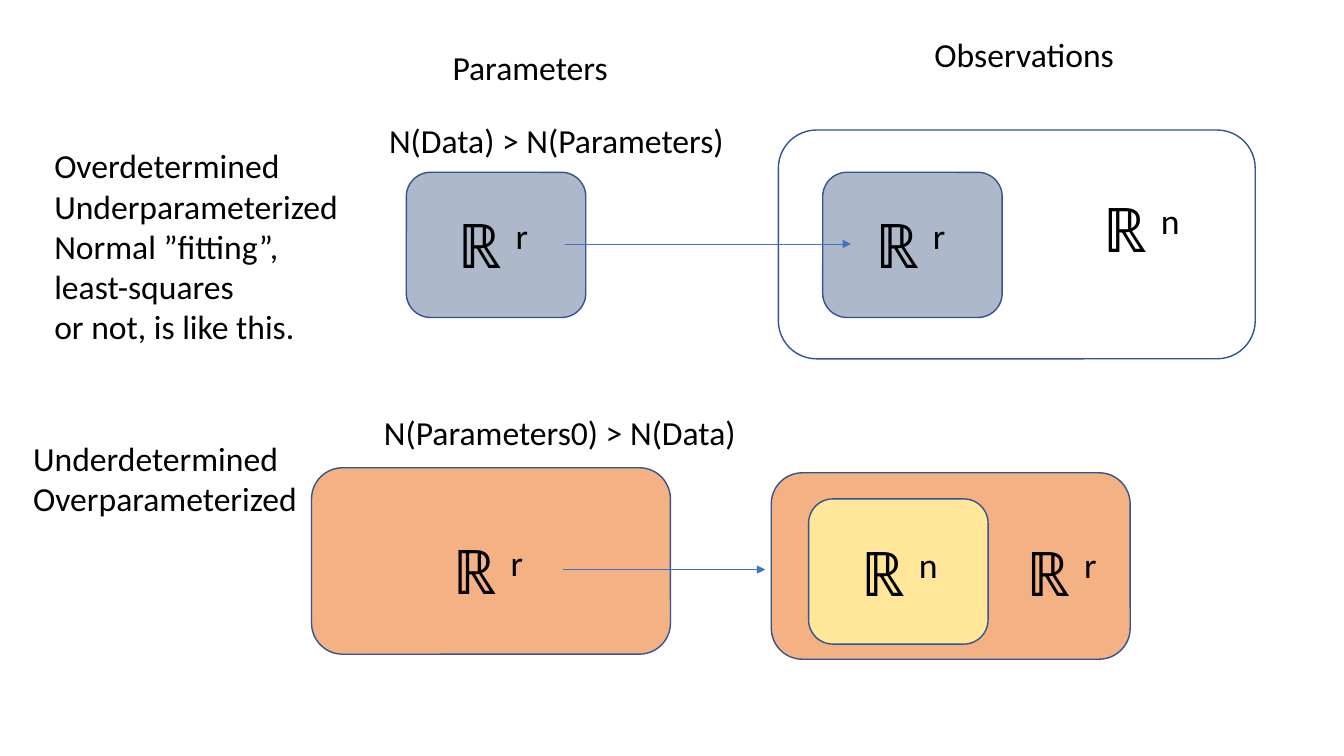
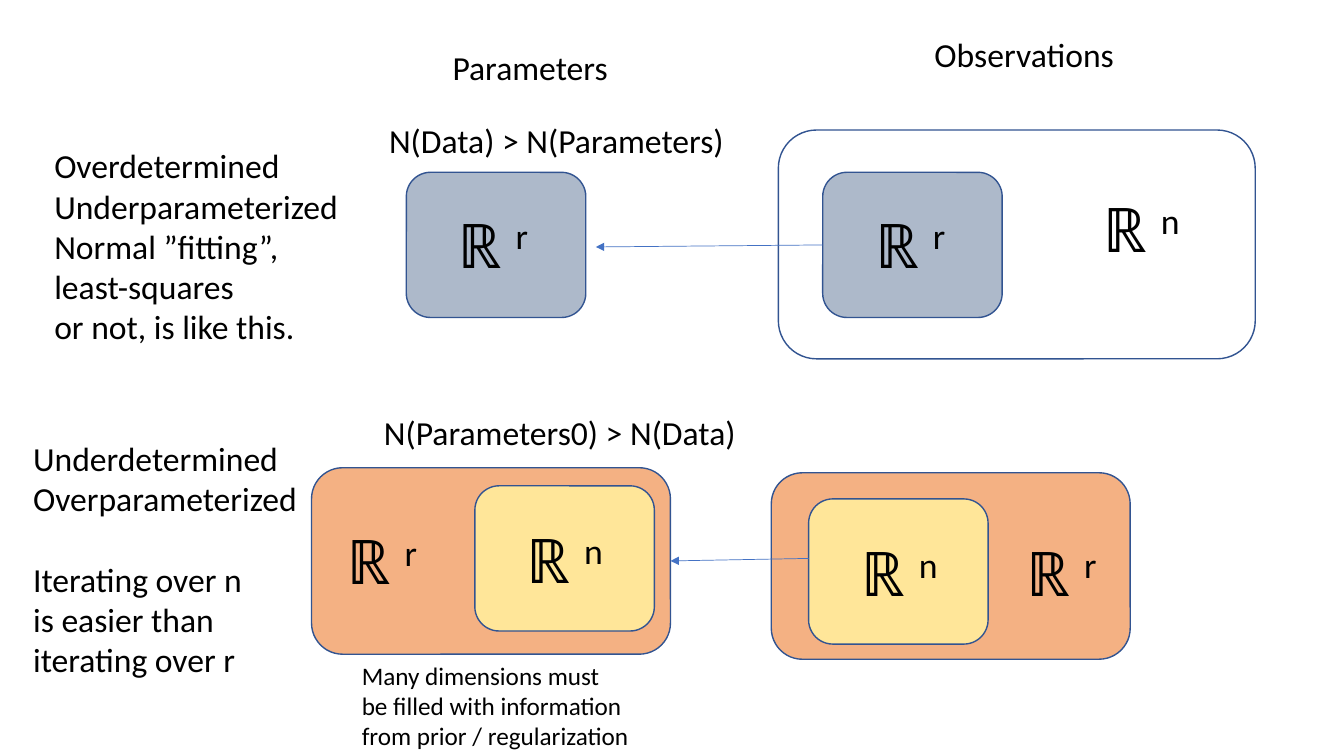
from lxml import etree
from pptx import Presentation
from pptx.dml.color import RGBColor
from pptx.enum.shapes import MSO_CONNECTOR, MSO_SHAPE
from pptx.enum.text import MSO_ANCHOR, MSO_AUTO_SIZE, PP_ALIGN
from pptx.oxml.ns import qn
from pptx.util import Inches, Pt

ROUNDED = MSO_SHAPE.ROUNDED_RECTANGLE
STRAIGHT = MSO_CONNECTOR.STRAIGHT
GROW = MSO_AUTO_SIZE.SHAPE_TO_FIT_TEXT
MIDDLE = MSO_ANCHOR.MIDDLE
LEFT, CENTER = PP_ALIGN.LEFT, PP_ALIGN.CENTER
LEFT_SIDE, RIGHT_SIDE = 1, 3

BLACK = RGBColor(0x00, 0x00, 0x00)
OUTLINE = RGBColor(0x32, 0x54, 0x91)
ARROW = RGBColor(0x44, 0x72, 0xC4)
BLUE_GREY = RGBColor(0xAD, 0xB9, 0xCA)
ORANGE = RGBColor(0xF4, 0xB1, 0x83)
YELLOW = RGBColor(0xFF, 0xE6, 0x99)

FONT = "Calibri"
SMALL_SPACE = (1.78, 1.44)
LARGE_SPACE = (3.56, 1.85)
OBSERVATION_SPACE = (4.73, 2.27)
SYMBOL_WIDTHS = {"r": 0.95, "n": 1.02}
UNDERDETERMINED = ["Underdetermined", "Overparameterized"]


def style_paragraph(paragraph, size, alignment=LEFT):
    paragraph.alignment = alignment
    paragraph.font.name = FONT
    paragraph.font.size = Pt(size)
    paragraph.font.color.rgb = BLACK


def write_symbol(paragraph, exponent, alignment=LEFT):
    """Write ℝ with a raised exponent."""
    paragraph.add_run().text = "ℝ "
    raised = paragraph.add_run()
    raised.text = exponent
    raised._r.get_or_add_rPr().set("baseline", "30000")
    style_paragraph(paragraph, 44, alignment)


def add_text_box(slide, left, top, width, height, wrap=False):
    box = slide.shapes.add_textbox(Inches(left), Inches(top), Inches(width), Inches(height))
    box.text_frame.word_wrap = wrap
    box.text_frame.auto_size = GROW
    return box.text_frame


def add_label(slide, left, top, width, height, lines, size=24, wrap=False):
    frame = add_text_box(slide, left, top, width, height, wrap)
    frame.text = "\n".join(lines)
    for paragraph in frame.paragraphs:
        style_paragraph(paragraph, size)
    return frame


def add_symbol(slide, left, top, exponent):
    frame = add_text_box(slide, left, top, SYMBOL_WIDTHS[exponent], 1.14)
    write_symbol(frame.paragraphs[0], exponent)


def add_space(slide, left, top, size, fill=None):
    """Draw a vector space as a rounded box, unfilled by default."""
    width, height = size
    shape = slide.shapes.add_shape(
        ROUNDED, Inches(left), Inches(top), Inches(width), Inches(height))
    shape.shadow.inherit = False
    if fill is None:
        shape.fill.background()
    else:
        shape.fill.solid()
        shape.fill.fore_color.rgb = fill
    shape.line.color.rgb = OUTLINE
    shape.line.width = Pt(1)
    return shape


def add_arrow(slide, start, end):
    arrow = slide.shapes.add_connector(STRAIGHT, *map(Inches, start + end))
    arrow.line.color.rgb = ARROW
    arrow.line.width = Pt(0.5)
    etree.SubElement(arrow.line._get_or_add_ln(), qn("a:tailEnd"), type="triangle")
    etree.SubElement(arrow._element.spPr, qn("a:effectLst"))
    return arrow


def add_mapping_slide(presentation):
    """Add a slide with the shared diagram; return it and the spaces that arrows join."""
    slide = presentation.slides.add_slide(presentation.slide_layouts[6])
    add_label(slide, 4.39, 0.42, 1.76, 0.5, ["Parameters"])
    add_label(slide, 9.17, 0.29, 2, 0.5, ["Observations"])

    add_label(slide, 3.76, 1.14, 3.55, 0.5, ["N(Data) > N(Parameters)"])
    add_label(slide, 0.44, 1.39, 3.04, 2.12, [
        "Overdetermined", "Underparameterized", "Normal ”fitting”,",
        "least-squares", "or not, is like this."])
    add_space(slide, 7.72, 1.29, OBSERVATION_SPACE)
    add_space(slide, 4.03, 1.71, SMALL_SPACE, BLUE_GREY)
    model_image = add_space(slide, 8.16, 1.71, SMALL_SPACE, BLUE_GREY)
    add_symbol(slide, 4.44, 2, "r")
    add_symbol(slide, 8.58, 2, "r")
    add_symbol(slide, 10.84, 1.85, "n")

    add_label(slide, 3.71, 4.04, 3.72, 0.5, ["N(Parameters0) > N(Data)"])
    parameter_space = add_space(slide, 3.09, 4.64, LARGE_SPACE, ORANGE)
    add_space(slide, 7.65, 4.69, LARGE_SPACE, ORANGE)
    add_space(slide, 8.02, 4.95, SMALL_SPACE, YELLOW)
    add_symbol(slide, 8.44, 5.26, "n")
    add_symbol(slide, 10.08, 5.26, "r")
    return slide, model_image, parameter_space


def add_forward_slide(presentation):
    slide, _, _ = add_mapping_slide(presentation)
    add_label(slide, 0.23, 4.29, 2.85, 1.31, UNDERDETERMINED)
    add_symbol(slide, 4.39, 5.24, "r")
    add_arrow(slide, (5.6, 2.42), (8.44, 2.42))
    add_arrow(slide, (5.58, 5.65), (7.59, 5.65))


def add_inverse_slide(presentation):
    slide, model_image, parameter_space = add_mapping_slide(presentation)
    notes = add_label(slide, 0.23, 4.29, 2.83, 2.52, UNDERDETERMINED + [
        "Iterating over n", "is easier than iterating over r"], wrap=True)
    notes.paragraphs[2].space_before = Pt(29)
    add_symbol(slide, 3.34, 5.14, "r")
    add_arrow(slide, (8.16, 2.42), (5.91, 2.45)).begin_connect(model_image, LEFT_SIDE)
    add_arrow(slide, (8.02, 5.54), (6.65, 5.56)).end_connect(parameter_space, RIGHT_SIDE)
    add_label(slide, 3.49, 6.5, 3.16, 1.01, [
        "Many dimensions must",
        "be filled with information from prior / regularization"], size=18, wrap=True)
    data_space = add_space(slide, 4.71, 4.82, SMALL_SPACE, YELLOW)
    data_space.text_frame.vertical_anchor = MIDDLE
    write_symbol(data_space.text_frame.paragraphs[0], "n", CENTER)


def main():
    presentation = Presentation()
    presentation.slide_width = Inches(13.33)
    presentation.slide_height = Inches(7.5)
    add_forward_slide(presentation)
    add_inverse_slide(presentation)
    presentation.save("out.pptx")


if __name__ == "__main__":
    main()
